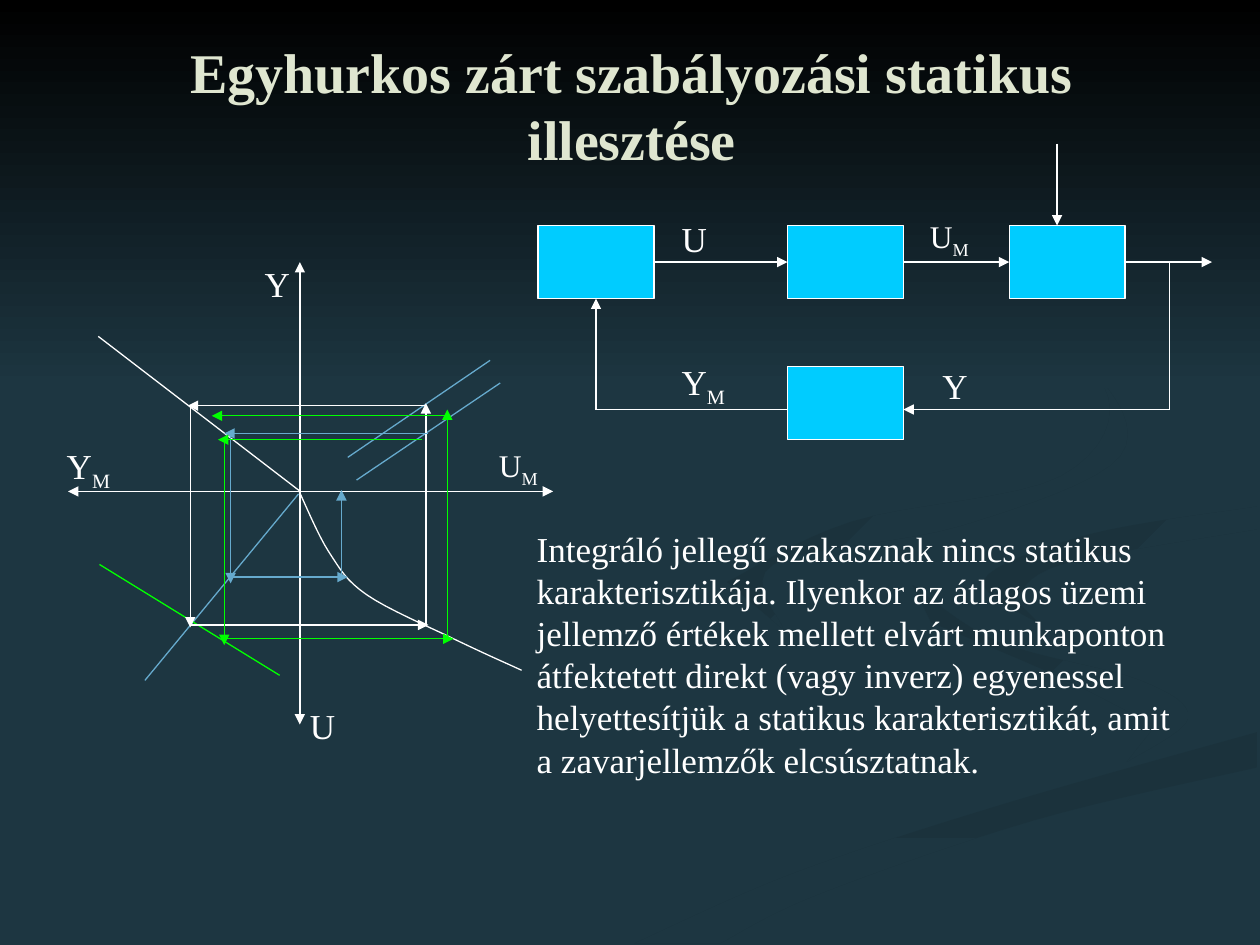
from dataclasses import dataclass
from lxml import etree
from pptx import Presentation
from pptx.dml.color import RGBColor
from pptx.enum.shapes import MSO_CONNECTOR, MSO_SHAPE
from pptx.enum.text import MSO_ANCHOR, PP_ALIGN
from pptx.oxml.ns import qn
from pptx.util import Inches, Pt

STRAIGHT = MSO_CONNECTOR.STRAIGHT
RECTANGLE = MSO_SHAPE.RECTANGLE
TOP, MIDDLE = MSO_ANCHOR.TOP, MSO_ANCHOR.MIDDLE
LEFT, CENTER = PP_ALIGN.LEFT, PP_ALIGN.CENTER


@dataclass(frozen=True)
class Theme:
    font: str = "Times New Roman"
    back: str = "1D3641"
    deep: str = "1B323C"
    black: str = "000000"
    title: str = "DFE6D0"
    white: str = "FFFFFF"
    block: str = "00CCFF"
    blue: str = "66AACD"
    green: str = "00FF00"
    title_size: int = 32
    body_size: int = 20
    small_size: int = 18
    stroke: float = 0.75


def color(code):
    return RGBColor.from_string(code)


def write(para, text, *, font, size, code, bold=False, subscript=False):
    span = para.add_run()
    span.text = text
    span.font.name = font
    span.font.size = Pt(size)
    span.font.bold = bold
    span.font.color.rgb = color(code)
    if subscript:
        span._r.get_or_add_rPr().set("baseline", "-25000")


def smooth(knots, steps=8):
    padded = [knots[0], *knots, knots[-1]]
    points = [knots[0]]
    for a, b, c, d in zip(padded, padded[1:], padded[2:], padded[3:]):
        for step in range(1, steps + 1):
            t = step / steps
            points.append(tuple(
                q + t * ((r - p) + t * (2 * p - 5 * q + 4 * r - s
                                        + t * (3 * (q - r) + s - p))) / 2
                for p, q, r, s in zip(a, b, c, d)))
    return points


class SlideBuilder:
    def __init__(self, page, theme):
        self.page = page
        self.theme = theme
        page.background.fill.solid()
        page.background.fill.fore_color.rgb = color(theme.back)

    def paint(self, shape, fill=None, line=None, angle=0):
        shape.shadow.inherit = False
        if fill is None:
            shape.fill.background()
        elif isinstance(fill, tuple):
            shape.fill.gradient()
            shape.fill.gradient_angle = -angle % 360
            for stop, code in zip(shape.fill.gradient_stops, fill):
                stop.color.rgb = color(code)
        else:
            shape.fill.solid()
            shape.fill.fore_color.rgb = color(fill)
        if line:
            shape.line.color.rgb = color(line)
            shape.line.width = Pt(self.theme.stroke)
        else:
            shape.line.fill.background()

    def box(self, left, top, width, height, **style):
        shape = self.page.shapes.add_shape(
            RECTANGLE, Inches(left), Inches(top), Inches(width), Inches(height))
        self.paint(shape, **style)

    def outline(self, points, closed=True, **style):
        corners = [(Inches(x), Inches(y)) for x, y in points]
        builder = self.page.shapes.build_freeform(*corners[0])
        builder.add_line_segments(corners[1:], close=closed)
        self.paint(builder.convert_to_shape(), **style)

    def line(self, start, end, code, head=False, tail=False):
        connector = self.page.shapes.add_connector(
            STRAIGHT, *(Inches(value) for value in (*start, *end)))
        connector.line.color.rgb = color(code)
        connector.line.width = Pt(self.theme.stroke)
        stroke = connector.line._get_or_add_ln()
        for name, wanted in (("a:headEnd", head), ("a:tailEnd", tail)):
            if wanted:
                etree.SubElement(stroke, qn(name)).set("type", "triangle")
        etree.SubElement(connector._element.spPr, qn("a:effectLst"))

    def cycle(self, code, left, right, top, bottom, start, tip, over=0.05):
        for begin, end in (((start, top), (left - over, top)),
                           ((left, top), (left, bottom + over)),
                           ((left, bottom), (right + over, bottom)),
                           ((right, bottom), (right, tip))):
            self.line(begin, end, code, tail=True)

    def text(self, left, top, width, height, text, *, subscript="", size=None, code=None,
             bold=False, align=LEFT, anchor=TOP, inset=0.02):
        box = self.page.shapes.add_textbox(
            Inches(left), Inches(top), Inches(width), Inches(height))
        frame = box.text_frame
        frame.word_wrap = True
        frame.vertical_anchor = anchor
        frame.margin_left = frame.margin_right = Inches(inset)
        frame.margin_top = frame.margin_bottom = 0
        para = frame.paragraphs[0]
        para.alignment = align
        style = dict(font=self.theme.font, size=size or self.theme.body_size,
                     code=code or self.theme.white, bold=bold)
        write(para, text, **style)
        if subscript:
            write(para, subscript, subscript=True, **style)


def draw_backdrop(slide, theme):
    dark = (theme.deep, theme.back)
    lower_band = [(5.03, 7.49), (6.3, 6.93), (7.97, 6.38), (9.98, 5.81)]
    lower_edge = [(9.98, 6.09), (8.21, 6.51), (6.49, 7.1), (5.71, 7.49)]
    middle_band = [(9.98, 4.02), (8.65, 4.24), (7.81, 4.6), (8.26, 4.96)]
    middle_edge = [(8.06, 4.76), (8.43, 4.48), (9.98, 4.2)]
    upper_band = [(7.62, 2.33), (8.64, 2.91), (8.89, 3.62), (7.64, 4.17), (6.14, 4.48),
                  (6.22, 5)]
    upper_edge = [(5.77, 4.62), (6.76, 4.14), (8.42, 3.78), (8.76, 3.06), (7.62, 2.33)]
    tail_band = [(7.24, 4.64), (7.92, 5.09), (9.05, 5.4), (9.43, 5.7), (8.94, 6.05)]
    tail_edge = [(9.17, 5.76), (8.38, 5.36), (7.39, 4.94)]
    for band, edge, angle in ((tail_band, tail_edge, 45), (lower_band, lower_edge, 90),
                              (middle_band, middle_edge, 45), (upper_band, upper_edge, 45)):
        slide.outline(smooth(band) + smooth(edge), fill=dark, angle=angle)
    slide.box(0, 0, 10, 3.08, fill=(theme.black, theme.back), angle=90)


def draw_control_loop(slide, theme):
    upper, lower, width, height = 1.79, 2.91, 0.92, 0.58
    first, second, third = 4.27, 6.25, 8.01
    forward, feedback, branch = upper + height / 2, 3.25, 9.28
    center = first + width / 2
    for left, top in ((third, upper), (first, upper), (second, upper), (second, lower)):
        slide.box(left, top, width, height, fill=theme.block, line=theme.white)
    for start, end in (((center, feedback), (center, upper + height)),
                       ((third + width, forward), (9.62, forward)),
                       ((branch, feedback), (second + width, feedback)),
                       ((first + width, forward), (second, forward)),
                       ((second + width, forward), (third, forward)),
                       ((8.39, 1.14), (8.39, upper))):
        slide.line(start, end, theme.white, tail=True)
    slide.line((center, feedback), (second, feedback), theme.white)
    slide.line((branch, feedback), (branch, forward), theme.white)


def draw_characteristics(slide, theme):
    for start, end in (((2.38, 5.75), (2.38, 2.08)), ((0.54, 3.9), (4.39, 3.9))):
        slide.line(start, end, theme.white, head=True, tail=True)
    for start, end, code in (((0.78, 2.67), (2.37, 3.89), theme.white),
                             ((2.37, 3.92), (1.15, 5.4), theme.blue),
                             ((0.79, 4.48), (2.22, 5.36), theme.green),
                             ((3.89, 2.86), (2.76, 3.63), theme.blue),
                             ((3.97, 3.04), (2.83, 3.81), theme.blue)):
        slide.line(start, end, code)
    plant_curve = [(2.37, 3.89), (2.61, 4.38), (2.91, 4.72), (3.6, 5.07), (4.14, 5.32)]
    slide.outline(smooth(plant_curve), closed=False, line=theme.white)
    slide.cycle(theme.white, 1.51, 3.38, 3.22, 4.96, start=3.37, tip=3.2, over=0.02)
    slide.cycle(theme.blue, 1.83, 2.71, 3.44, 4.58, start=3.4, tip=3.89)
    slide.cycle(theme.green, 1.78, 3.55, 3.49, 5.07, start=3.35, tip=3.25)
    slide.line((3.57, 3.3), (1.68, 3.3), theme.green, tail=True)


def draw_texts(slide, theme):
    slide.text(0.75, 0.29, 8.53, 1.08, "Egyhurkos zárt szabályozási statikus illesztése",
               size=theme.title_size, code=theme.title, bold=True, align=CENTER,
               anchor=MIDDLE, inset=0.1)
    for left, top, name in ((2.08, 2.08, "Y"), (2.44, 5.59, "U"),
                            (7.46, 2.89, "Y"), (5.39, 1.73, "U")):
        slide.text(left, top, 0.28, 0.33, name)
    for left, top in ((0.51, 3.53), (5.39, 2.86)):
        slide.text(left, top, 0.43, 0.33, "Y", subscript="M")
    for left, top in ((3.94, 3.54), (7.36, 1.72)):
        slide.text(left, top, 0.5, 0.3, "U", subscript="M", size=theme.small_size)
    slide.text(4.26, 4.19, 5.17, 2,
               "Integráló jellegű szakasznak nincs statikus karakterisztikája. Ilyenkor az "
               "átlagos üzemi jellemző értékek mellett elvárt munkaponton átfektetett direkt "
               "(vagy inverz) egyenessel helyettesítjük a statikus karakterisztikát, amit a "
               "zavarjellemzők elcsúsztatnak.", inset=0)


def main():
    deck = Presentation()
    deck.slide_width, deck.slide_height = Inches(10), Inches(7.5)
    theme = Theme()
    slide = SlideBuilder(deck.slides.add_slide(deck.slide_layouts[6]), theme)
    for draw in (draw_backdrop, draw_control_loop, draw_characteristics, draw_texts):
        draw(slide, theme)
    deck.save("out.pptx")


if __name__ == "__main__":
    main()
